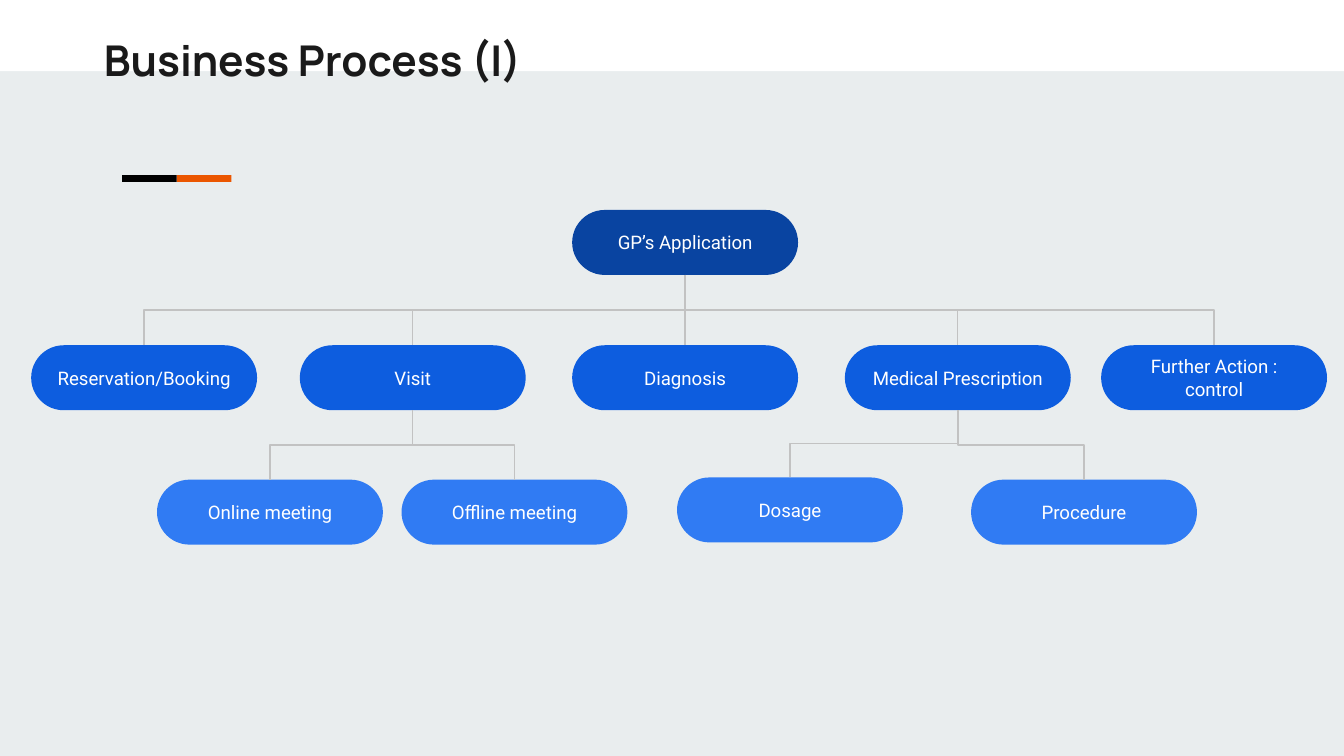
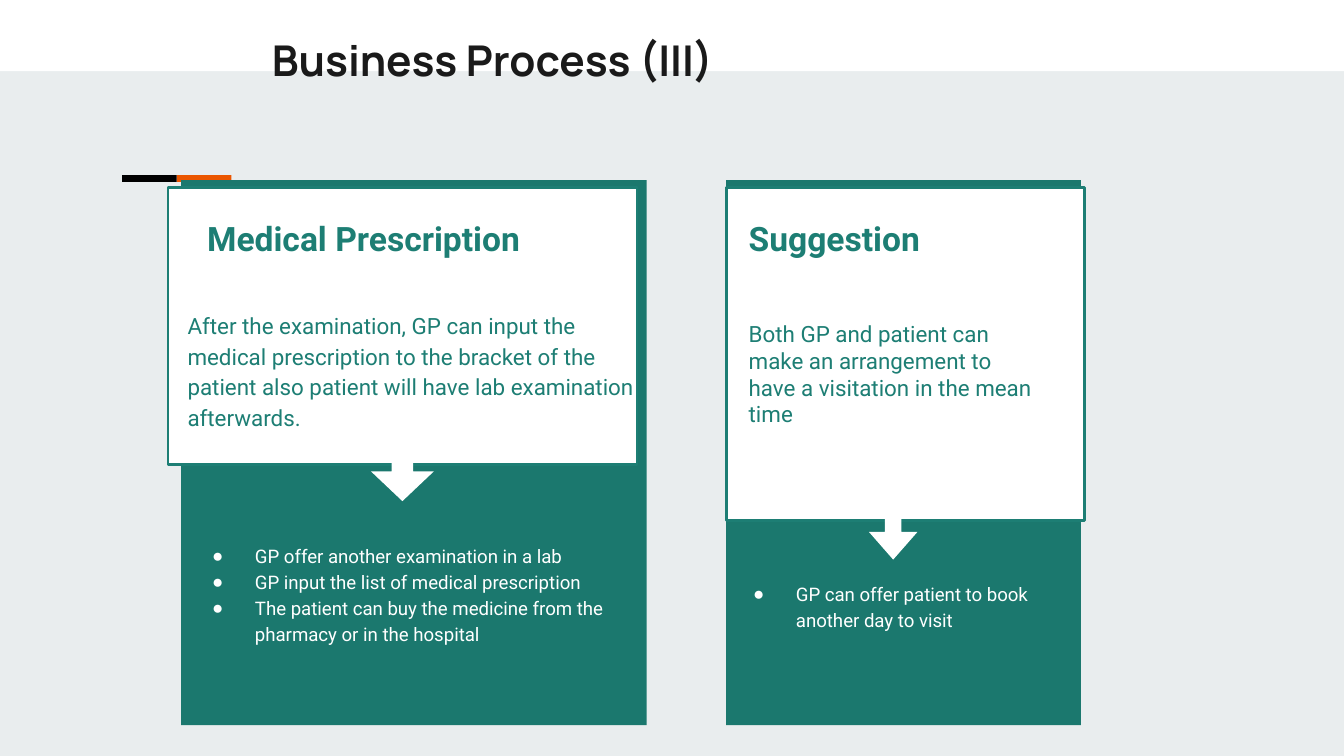
from dataclasses import dataclass

from lxml import etree
from pptx import Presentation
from pptx.dml.color import RGBColor
from pptx.enum.shapes import MSO_CONNECTOR, MSO_SHAPE
from pptx.enum.text import MSO_ANCHOR, MSO_AUTO_SIZE, PP_ALIGN
from pptx.oxml.ns import qn
from pptx.util import Pt

RECTANGLE = MSO_SHAPE.RECTANGLE
PILL = MSO_SHAPE.ROUNDED_RECTANGLE
DOWN_ARROW = MSO_SHAPE.DOWN_ARROW
ELBOW, STRAIGHT = MSO_CONNECTOR.ELBOW, MSO_CONNECTOR.STRAIGHT
LEFT, CENTER = PP_ALIGN.LEFT, PP_ALIGN.CENTER
TOP, MIDDLE = MSO_ANCHOR.TOP, MSO_ANCHOR.MIDDLE
NO_AUTOFIT = MSO_AUTO_SIZE.NONE

WHITE = RGBColor(0xFF, 0xFF, 0xFF)
BLACK = RGBColor(0, 0, 0)
INK = RGBColor(0x1A, 0x1A, 0x1A)
PAGE_GREY = RGBColor(0xE9, 0xED, 0xEE)
ORANGE = RGBColor(0xEB, 0x56, 0x00)
NAVY = RGBColor(0x09, 0x44, 0xA1)
BLUE = RGBColor(0x0D, 0x5D, 0xDF)
LIGHT_BLUE = RGBColor(0x30, 0x7B, 0xF3)
LINE_GREY = RGBColor(0xC2, 0xC2, 0xC2)
PANEL_TEAL = RGBColor(0x1B, 0x78, 0x6E)
TEXT_TEAL = RGBColor(0x1D, 0x7E, 0x74)

TITLE_FONT = {"name": "Manrope", "size": Pt(22.7), "bold": True}
HEADING_FONT = {"name": "Roboto", "size": Pt(18), "bold": True}
BODY_FONT = {"name": "Roboto", "size": Pt(12), "bold": False}
SMALL_FONT = {"name": "Roboto", "size": Pt(10), "bold": False}

PAGE_WIDTH, PAGE_HEIGHT = 720, 405
INSET = 7.2
NODE_WIDTH, NODE_HEIGHT = 121, 34.8


@dataclass(frozen=True)
class Box:
    left: float
    top: float
    width: float
    height: float

    def points(self) -> tuple:
        return Pt(self.left), Pt(self.top), Pt(self.width), Pt(self.height)


@dataclass(frozen=True)
class Node:
    label: str
    left: float
    top: float
    color: RGBColor
    parent: str = ""


@dataclass(frozen=True)
class Card:
    panel: Box
    front: Box
    arrow: Box
    heading: str
    heading_box: Box
    summary: str
    summary_box: Box
    summary_spacing: float
    steps: tuple
    steps_box: Box


BAND = Box(0, 0, PAGE_WIDTH, 38.2)
ACCENT = Box(65.4, 93.8, 29.3, 3.7)

NODES = (
    Node("GP’s Application", 306.5, 112.5, NAVY),
    Node("Reservation/Booking", 16.7, 185, BLUE, "GP’s Application"),
    Node("Visit", 160.6, 185, BLUE, "GP’s Application"),
    Node("Diagnosis", 306.5, 185, BLUE, "GP’s Application"),
    Node("Medical Prescription", 452.6, 185, BLUE, "GP’s Application"),
    Node("Further Action : control", 589.9, 185, BLUE, "GP’s Application"),
    Node("Online meeting", 84.1, 257, LIGHT_BLUE, "Visit"),
    Node("Offline meeting", 215.1, 257, LIGHT_BLUE, "Visit"),
    Node("Dosage", 362.7, 255.8, LIGHT_BLUE, "Medical Prescription"),
    Node("Procedure", 520.2, 257, LIGHT_BLUE, "Medical Prescription"),
)

CARDS = (
    Card(
        panel=Box(97, 96.5, 249.5, 292),
        front=Box(90, 100.5, 251.3, 148.4),
        arrow=Box(198.7, 240.5, 33.8, 28),
        heading="Medical Prescription",
        heading_box=Box(103.9, 109.5, 335.5, 48),
        summary="After the examination, GP can input the medical prescription to the "
                "bracket of the patient also patient will have lab examination afterwards.",
        summary_box=Box(93.4, 157.7, 257, 59),
        summary_spacing=1.15,
        steps=("GP offer another examination in a lab",
               "GP input the list of medical prescription",
               "The patient can buy the medicine from the pharmacy or in the hospital"),
        steps_box=Box(93.4, 283, 249, 78),
    ),
    Card(
        panel=Box(389, 96.5, 190, 292),
        front=Box(389.4, 100.5, 191.5, 178.5),
        arrow=Box(465.5, 271.8, 26, 28),
        heading="Suggestion",
        heading_box=Box(394, 109.5, 170, 48),
        summary="Both GP and patient can make an arrangement to have a visitation "
                "in the mean time",
        summary_box=Box(394, 164.2, 170, 43),
        summary_spacing=1.0,
        steps=("GP can offer patient to book another day to visit",),
        steps_box=Box(383.2, 303.2, 190, 78),
    ),
)


def apply_format(target, values: dict) -> None:
    for name, value in values.items():
        setattr(target, name, value)


def place(shape, box: Box) -> None:
    apply_format(shape, dict(zip(("left", "top", "width", "height"), box.points())))


def write(shape, lines: tuple, font: dict, color: RGBColor, align=LEFT, anchor=TOP,
          spacing: float = 1.0) -> None:
    """Fill a shape with one formatted paragraph per line."""
    frame = shape.text_frame
    apply_format(frame, {"word_wrap": True, "auto_size": NO_AUTOFIT,
                         "vertical_anchor": anchor})
    apply_format(frame, {f"margin_{side}": Pt(INSET)
                         for side in ("left", "top", "right", "bottom")})
    for index, line in enumerate(lines):
        para = frame.add_paragraph() if index else frame.paragraphs[0]
        apply_format(para, {"alignment": align, "line_spacing": spacing,
                            "space_before": Pt(0)})
        span = para.add_run()
        span.text = line
        apply_format(span.font, font)
        span.font.color.rgb = color


def add_filled(page, kind, box: Box, fill: RGBColor, line: RGBColor | None = None):
    shape = page.shapes.add_shape(kind, *box.points())
    shape.shadow.inherit = False
    shape.fill.solid()
    shape.fill.fore_color.rgb = fill
    if line is None:
        shape.line.fill.background()
    else:
        shape.line.color.rgb = line
        shape.line.width = Pt(1.5)
    return shape


def add_text(page, box: Box, text: str, font: dict, spacing: float = 1.0) -> None:
    shape = page.shapes.add_textbox(*box.points())
    write(shape, (text,), font, TEXT_TEAL, spacing=spacing)


def add_page(deck, layout_index: int, title: str, title_left: float):
    page = deck.slides.add_slide(deck.slide_layouts[layout_index])
    place(page.shapes.title, Box(title_left, 11, 410, 80))
    write(page.shapes.title, (title,), TITLE_FONT, INK)
    return page


def decorate_master(deck, page) -> None:
    """Draw the band and accent on a page, then move them to the master."""
    master = deck.slide_master
    master.background.fill.solid()
    master.background.fill.fore_color.rgb = PAGE_GREY
    orange_half = Box(ACCENT.left + ACCENT.width, ACCENT.top, ACCENT.width, ACCENT.height)
    parts = ((BAND, WHITE), (orange_half, ORANGE), (ACCENT, BLACK))
    for index, (box, color) in enumerate(parts):
        element = add_filled(page, RECTANGLE, box, color).element
        element.nvSpPr.cNvPr.set("id", str(100 + index))
        master.shapes.element.insert(2 + index, element)


def add_branch(page, parent, child) -> None:
    """Join a parent's bottom to a child's top, leaving downwards."""
    start_x, end_x = (shape.left + shape.width // 2 for shape in (parent, child))
    start_y, end_y = parent.top + parent.height, child.top
    across, down = end_x - start_x, end_y - start_y
    kind = ELBOW if across else STRAIGHT
    branch = page.shapes.add_connector(kind, start_x, start_y, end_x, end_y)
    branch.begin_connect(parent, 2)
    branch.end_connect(child, 0)
    branch.line.color.rgb = LINE_GREY
    branch.line.width = Pt(0.75)
    properties = branch.element.spPr
    etree.SubElement(properties, qn("a:effectLst"))
    if across:
        frame = properties.find(qn("a:xfrm"))
        frame.attrib.clear()
        frame.set("rot", "16200000" if across > 0 else "5400000")
        if across > 0:
            frame.set("flipH", "1")
        apply_format(branch, {"left": (start_x + end_x - down) // 2,
                              "top": (start_y + end_y - abs(across)) // 2,
                              "width": down, "height": abs(across)})


def add_tree(page, nodes: tuple) -> None:
    shapes = {}
    for node in nodes:
        box = Box(node.left, node.top, NODE_WIDTH, NODE_HEIGHT)
        pill = add_filled(page, PILL, box, node.color)
        pill.adjustments[0] = 0.5
        write(pill, (node.label,), SMALL_FONT, WHITE, CENTER, MIDDLE)
        shapes[node.label] = pill
    for node in nodes:
        if node.parent:
            add_branch(page, shapes[node.parent], shapes[node.label])


def add_card(page, card: Card, steps) -> None:
    add_filled(page, RECTANGLE, card.panel, PANEL_TEAL)
    add_filled(page, RECTANGLE, card.front, WHITE, TEXT_TEAL)
    add_text(page, card.summary_box, card.summary, BODY_FONT, card.summary_spacing)
    add_text(page, card.heading_box, card.heading, HEADING_FONT)
    arrow = add_filled(page, DOWN_ARROW, card.arrow, WHITE)
    arrow.adjustments[0], arrow.adjustments[1] = 0.34, 0.57

    page.shapes.element.append(steps.element)
    place(steps, card.steps_box)
    write(steps, card.steps, SMALL_FONT, WHITE, spacing=1.15)
    for para in steps.text_frame.paragraphs:
        properties = para._p.get_or_add_pPr()
        properties.set("marL", str(Pt(36)))
        properties.set("indent", str(Pt(-23)))
        etree.SubElement(properties, qn("a:buChar")).set("char", "●")


def main() -> None:
    deck = Presentation()
    deck.slide_width, deck.slide_height = Pt(PAGE_WIDTH), Pt(PAGE_HEIGHT)

    tree_page = add_page(deck, 5, "Business Process (I)", 48.5)
    decorate_master(deck, tree_page)
    add_tree(tree_page, NODES)

    card_page = add_page(deck, 3, "Business Process (III)", 138.5)
    bodies = [shape for shape in card_page.placeholders
              if shape.placeholder_format.idx in (1, 2)]
    for card, steps in zip(CARDS, bodies):
        add_card(card_page, card, steps)

    deck.save("out.pptx")


if __name__ == "__main__":
    main()
